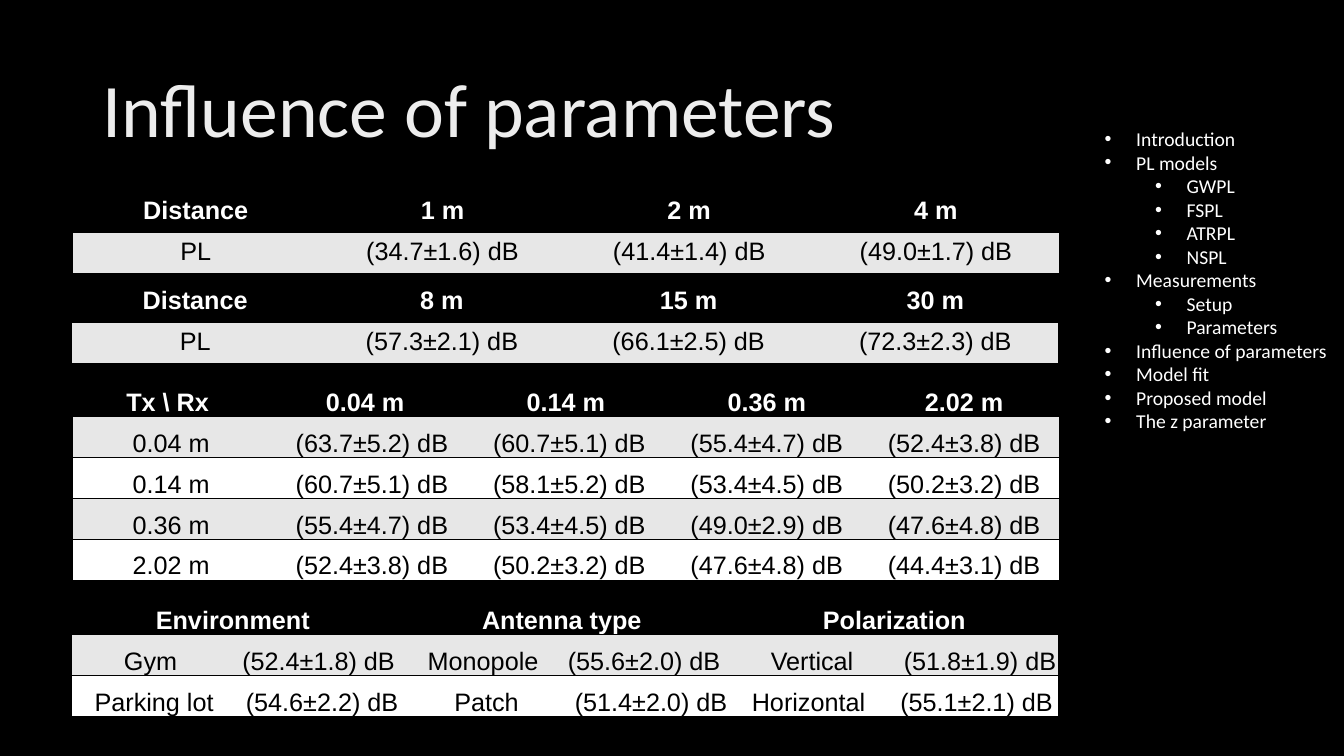
from lxml.etree import SubElement
from pptx import Presentation
from pptx.dml.color import RGBColor
from pptx.enum.text import MSO_ANCHOR, PP_ALIGN
from pptx.oxml import parse_xml
from pptx.oxml.ns import nsdecls, qn
from pptx.util import Pt

# Content
TITLE = "Influence of parameters"
OUTLINE = [
    (0, "Introduction"), (0, "PL models"),
    (1, "GWPL"), (1, "FSPL"), (1, "ATRPL"), (1, "NSPL"),
    (0, "Measurements"), (1, "Setup"), (1, "Parameters"),
    (0, "Influence of parameters"), (0, "Model fit"),
    (0, "Proposed model"), (0, "The z parameter"),
]
NEAR = [
    ["Distance", "1 m", "2 m", "4 m"],
    ["PL", "(34.7±1.6) dB", "(41.4±1.4) dB", "(49.0±1.7) dB"],
]
FAR = [
    ["Distance", "8 m", "15 m", "30 m"],
    ["PL", "(57.3±2.1) dB", "(66.1±2.5) dB", "(72.3±2.3) dB"],
]
HEIGHTS = [
    ["Tx \\ Rx ", "0.04 m ", "0.14 m", " 0.36 m", " 2.02 m"],
    ["0.04 m", " (63.7±5.2) dB", " (60.7±5.1) dB", " (55.4±4.7) dB", " (52.4±3.8) dB"],
    ["0.14 m", " (60.7±5.1) dB", " (58.1±5.2) dB", " (53.4±4.5) dB", " (50.2±3.2) dB"],
    ["0.36 m", " (55.4±4.7) dB", " (53.4±4.5) dB", " (49.0±2.9) dB", " (47.6±4.8) dB"],
    ["2.02 m", " (52.4±3.8) dB", " (50.2±3.2) dB", " (47.6±4.8) dB", " (44.4±3.1) dB"],
]
# None joins a cell to the one on its left
FACTORS = [
    ["Environment ", None, "Antenna type ", None, "Polarization", None],
    ["Gym ", "(52.4±1.8) dB", " Monopole ", "(55.6±2.0) dB ", "Vertical", " (51.8±1.9) dB"],
    ["Parking lot", " (54.6±2.2) dB", " Patch", " (51.4±2.0) dB ", "Horizontal ", "(55.1±2.1) dB"],
]
# Left, top, tight cells, rows
TABLES = [
    (51.7, 136.8, False, NEAR),
    (51.3, 201, False, FAR),
    (51.7, 268.5, True, HEIGHTS),
    (51.3, 424.2, True, FACTORS),
]
WIDTH, ROW = 705, 29.2
BLACK, WHITE, GREY = "000000", "FFFFFF", "E7E7E7"
SHINE = [(0, "BFBFBF"), (28, "EDEDED"), (100, "FFFFFF")]
NO_STYLE = "{2D5ABB26-0587-4C30-8999-92F81FD0307C}"


def color(code):
    return RGBColor.from_string(code)


def write(para, text, size=18, font="Arial", ink=BLACK, bold=False, align=PP_ALIGN.CENTER):
    para.alignment = align
    run = para.add_run()
    run.text = text
    run.font.size, run.font.name, run.font.bold = Pt(size), font, bold
    run.font.color.rgb = color(ink)
    return run


def indent(para, left, hang):
    props = para._p.get_or_add_pPr()
    props.set("marL", str(Pt(left)))
    props.set("indent", str(-Pt(hang)))
    return props


def edge(cell, sides):
    props = cell._tc.get_or_add_tcPr()
    for side in sides:
        props.append(parse_xml(
            f'<a:ln{side} {nsdecls("a")} w="{Pt(1)}"><a:solidFill>'
            f'<a:srgbClr val="{BLACK}"/></a:solidFill></a:ln{side}>'))


def add_grid(slide, left, top, tight, rows):
    count = len(rows[0])
    table = slide.shapes.add_table(
        len(rows), count, Pt(left), Pt(top), Pt(WIDTH), Pt(ROW * len(rows))).table
    table._tbl.tblPr.find(qn("a:tableStyleId")).text = NO_STYLE
    table.first_row = table.horz_banding = False
    for col in table.columns:
        col.width = Pt(WIDTH / count)
    for r, row in enumerate(rows):
        table.rows[r].height = Pt(ROW)
        shade = BLACK if r == 0 else GREY if r % 2 else WHITE
        for c, text in enumerate(row):
            cell = table.cell(r, c)
            edge(cell, ["L"] * (c == 0) + ["R"] * (c == count - 1) + ["T", "B"])
            cell.fill.solid()
            cell.fill.fore_color.rgb = color(shade)
            if tight:
                cell.vertical_anchor = MSO_ANCHOR.BOTTOM
                cell.margin_left = cell.margin_right = cell.margin_top = Pt(0.75)
                cell.margin_bottom = 0
            if text is None:
                table.cell(r, c - 1).merge(cell)
            else:
                write(cell.text_frame.paragraphs[0], text,
                      ink=BLACK if r else WHITE, bold=r == 0)


def add_title(slide):
    title = slide.shapes.title
    title.left, title.top, title.width, title.height = Pt(66), Pt(28.75), Pt(828), Pt(104.4)
    title.text_frame.vertical_anchor = MSO_ANCHOR.MIDDLE
    para = title.text_frame.paragraphs[0]
    para.line_spacing = 0.9
    run = write(para, TITLE, size=54, font="Calibri", ink="EDEDED", align=PP_ALIGN.LEFT)
    indent(para, 22.5, 22.5)
    # Gradient ink
    stops = "".join(f'<a:gs pos="{pos * 1000}"><a:srgbClr val="{code}"/></a:gs>'
                    for pos, code in SHINE)
    props = run._r.rPr
    props.replace(props.find(qn("a:solidFill")), parse_xml(
        f'<a:gradFill {nsdecls("a")}><a:gsLst>{stops}</a:gsLst>'
        '<a:lin ang="4800000" scaled="0"/></a:gradFill>'))


def add_outline(slide):
    frame = slide.shapes.add_textbox(Pt(782), Pt(87.1), Pt(185.8), Pt(227.5)).text_frame
    frame.word_wrap = True
    for i, (level, text) in enumerate(OUTLINE):
        para = frame.add_paragraph() if i else frame.paragraphs[0]
        para.level = level
        write(para, text, size=14, font="Calibri", ink=WHITE, align=PP_ALIGN.LEFT)
        props = indent(para, 22.5 + 36 * level, 22.5)
        SubElement(props, qn("a:buFont")).set("typeface", "Arial")
        SubElement(props, qn("a:buChar")).set("char", "•")


def main():
    deck = Presentation()
    deck.slide_width, deck.slide_height = Pt(960), Pt(540)
    slide = deck.slides.add_slide(deck.slide_layouts[5])
    slide.background.fill.solid()
    slide.background.fill.fore_color.rgb = color(BLACK)
    add_title(slide)
    add_outline(slide)
    for left, top, tight, rows in TABLES:
        add_grid(slide, left, top, tight, rows)
    deck.save("out.pptx")


if __name__ == "__main__":
    main()
